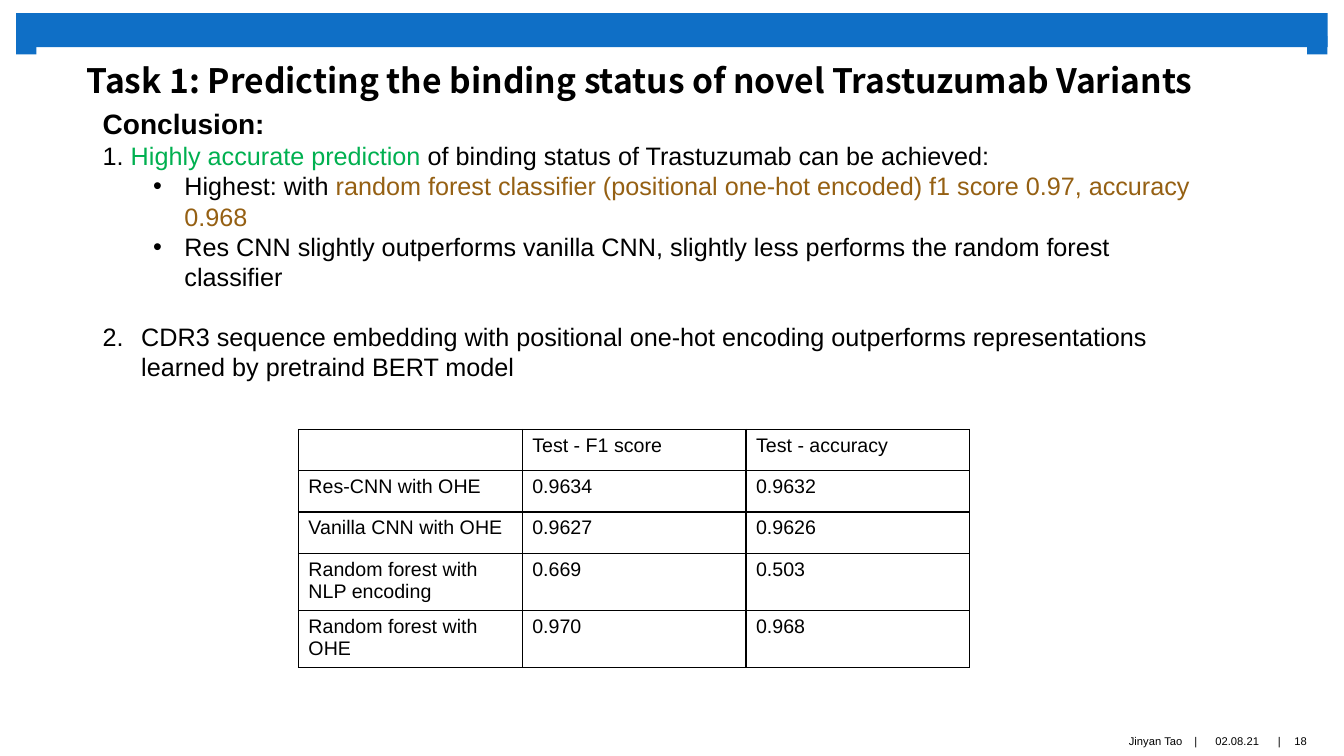
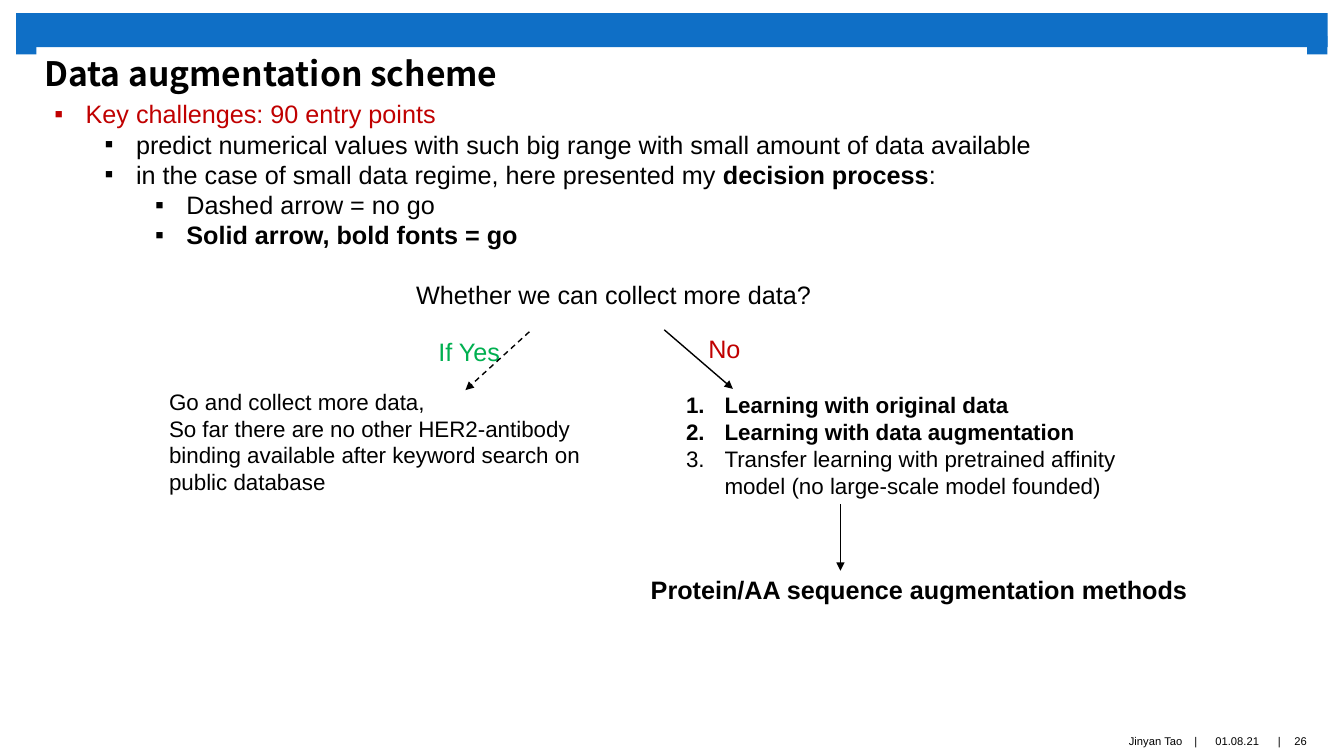
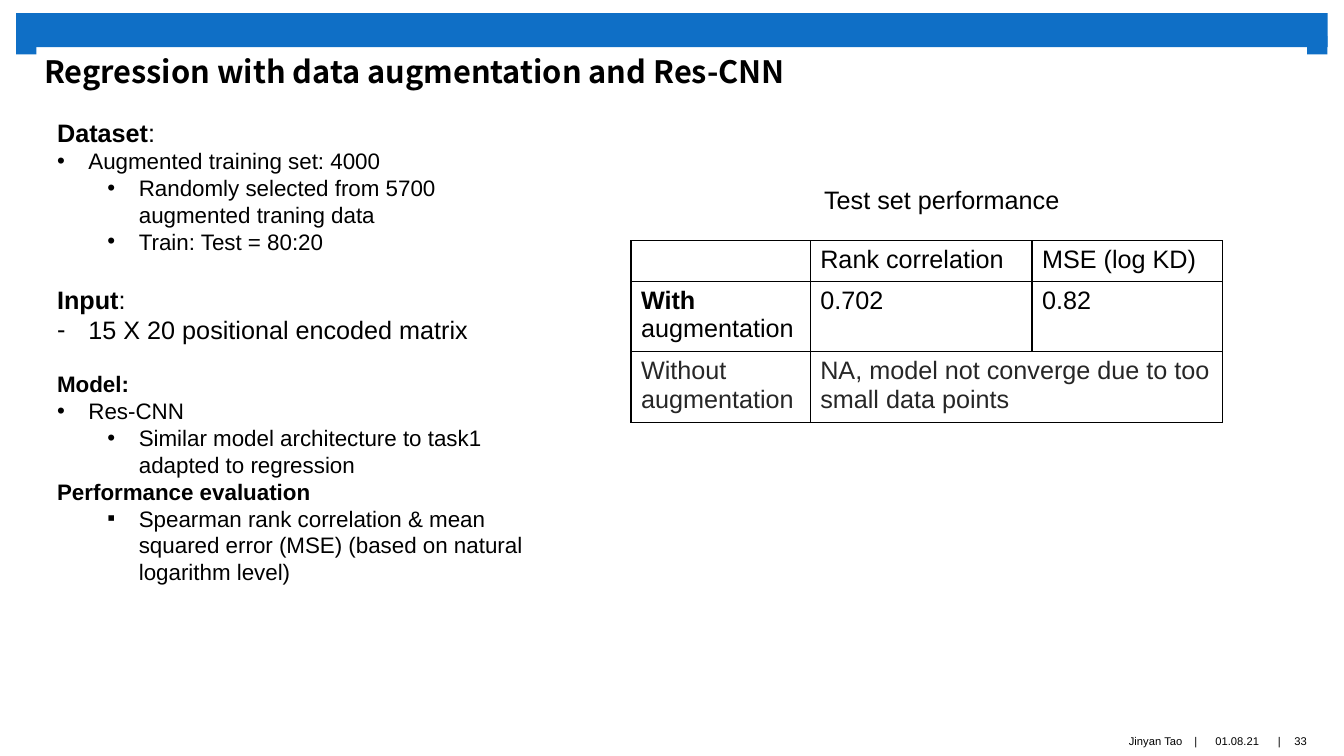
"""Build three slides on antibody binding prediction and data augmentation."""
from lxml import etree
from pptx import Presentation
from pptx.dml.color import RGBColor
from pptx.enum.dml import MSO_LINE
from pptx.enum.shapes import MSO_CONNECTOR, MSO_SHAPE
from pptx.enum.text import MSO_ANCHOR, MSO_AUTO_SIZE, PP_ALIGN
from pptx.oxml.ns import qn
from pptx.util import Cm, Pt

STRAIGHT = MSO_CONNECTOR.STRAIGHT
RECTANGLE = MSO_SHAPE.RECTANGLE
DASH = MSO_LINE.DASH
TOP, MIDDLE = MSO_ANCHOR.TOP, MSO_ANCHOR.MIDDLE
LEFT, CENTER, RIGHT = PP_ALIGN.LEFT, PP_ALIGN.CENTER, PP_ALIGN.RIGHT

COLORS = {
    "band": "0F6FC6", "black": "000000", "green": "00B050",
    "red": "C00000", "ochre": "956013", "gray": "262626",
}
BODY_FONT, TITLE_FONT = "Arial", "Noto Sans CJK SC"
TITLE_LAYOUT = 5
BULLET_HANG, NUMBER_HANG, LEVEL_STEP = 0.79, 0.97, 1.27

BANDS = [(0.41, 0.33, 33.05, 0.86), (0.41, 0.91, 0.51, 0.46), (32.94, 0.91, 0.51, 0.46)]
AUTHOR = "Jinyan Tao"
FOOTER_TOP, FOOTER_HEIGHT = 18.36, 0.64

SLIDES = [
    {
        "title": "Task 1: Predicting the binding status of novel Trastuzumab Variants",
        "title_box": (1.93, 1.09, 30, 1.45), "title_size": 24,
        "date": "02.08.21", "number": "18",
        "texts": [
            ((2.34, 2.57, 28.4, 7.26), [
                {"text": "Conclusion:", "size": 20, "bold": True},
                {"text": ["1. ", ("Highly accurate prediction ", {"color": "green"}),
                          "of binding status of Trastuzumab can be achieved:"]},
                {"text": ["Highest: with ",
                          ("random forest classifier (positional one-hot encoded) "
                           "f1 score 0.97, accuracy 0.968", {"color": "ochre"})],
                 "bullet": "•", "level": 1},
                {"text": "Res CNN slightly outperforms vanilla CNN, slightly less performs "
                         "the random forest classifier", "bullet": "•", "level": 1},
                {"text": "CDR3 sequence embedding with positional one-hot encoding outperforms "
                         "representations learned by pretraind BERT model",
                 "bullet": 2, "before": 21},
            ]),
        ],
        "table": {
            "at": (7.52, 10.82), "size": 14,
            "columns": [5.64] * 3, "rows": [1.04] * 3 + [1.44] * 2,
            "cells": [
                ["", "Test - F1 score", "Test - accuracy"],
                ["Res-CNN with OHE", "0.9634", "0.9632"],
                ["Vanilla CNN with OHE", "0.9627", "0.9626"],
                ["Random forest with NLP encoding", "0.669", "0.503"],
                ["Random forest with OHE", "0.970", "0.968"],
            ],
        },
    },
    {
        "title": "Data augmentation scheme",
        "title_box": (0.86, 0.91, 26.87, 1.45), "title_size": 24,
        "date": "01.08.21", "number": "26",
        "texts": [
            ((1.12, 2.36, 27.23, 4.5), [
                {"text": "Key challenges: 90 entry points", "bullet": "▪", "color": "red"},
                {"text": "predict numerical values with such big range with small amount "
                         "of data available", "bullet": "▪", "level": 1},
                {"text": ["in the case of small data regime, here presented my ",
                          ("decision process", {"bold": True}), ":"],
                 "bullet": "▪", "level": 1},
                {"text": "Dashed arrow = no go", "bullet": "▪", "level": 2},
                {"text": "Solid arrow, bold fonts = go", "bullet": "▪", "level": 2,
                 "bold": True},
            ]),
            ((10.24, 6.91, 10.8, 1.02), [{"text": "Whether we can collect more data?"}]),
            ((10.8, 8.36, 2.26, 1.02), [{"text": "If Yes", "color": "green"}]),
            ((4.01, 9.65, 11.1, 3), [
                {"text": "Go and collect more data,", "size": 16},
                {"text": "So far there are no other HER2-antibody binding available after "
                         "keyword search on public database", "size": 16},
            ]),
            ((17.6, 8.28, 1.6, 1.02), [{"text": "No", "color": "red"}]),
            ((17.04, 9.73, 12.4, 3), [
                {"text": "Learning with original data", "size": 16, "bullet": 1, "bold": True},
                {"text": "Learning with data augmentation", "size": 16, "bullet": 1,
                 "bold": True},
                {"text": "Transfer learning with pretrained affinity model "
                         "(no large-scale model founded)", "size": 16, "bullet": 1},
            ]),
            ((16.15, 14.35, 14.5, 1.02),
             [{"text": "Protein/AA sequence augmentation methods", "bold": True}]),
        ],
        "arrows": [
            ((13.34, 8.36), (11.73, 9.83), True),
            ((16.74, 8.31), (18.47, 9.8), False),
            ((21.18, 12.7), (21.18, 14.38), False),
        ],
    },
    {
        "title": "Regression with data augmentation and Res-CNN",
        "title_box": (0.86, 0.91, 31.42, 1.37), "title_size": 22,
        "date": "01.08.21", "number": "33",
        "texts": [
            ((1.19, 2.82, 12.73, 12.22), [
                {"text": [("Dataset", {"bold": True}), ":"]},
                {"text": "Augmented training set: 4000", "size": 16, "bullet": "•"},
                {"text": "Randomly selected from 5700 augmented traning data",
                 "size": 16, "bullet": "•", "level": 1},
                {"text": "Train: Test = 80:20", "size": 16, "bullet": "•", "level": 1},
                {"text": [("Input", {"bold": True}), ":"], "before": 21},
                {"text": "15 X 20 positional encoded matrix", "bullet": "-"},
                {"text": "Model:", "size": 16, "bold": True, "before": 18.5},
                {"text": "Res-CNN", "size": 16, "bullet": "•"},
                {"text": "Similar model architecture to task1 adapted to regression",
                 "size": 16, "bullet": "•", "level": 1},
                {"text": "Performance evaluation", "size": 16, "bold": True},
                {"text": "Spearman rank correlation & mean squared error (MSE) "
                         "(based on natural logarithm level)",
                 "size": 16, "bullet": "▪", "level": 1},
            ]),
            ((20.52, 4.52, 6.9, 1.02), [{"text": "Test set performance"}]),
        ],
        "table": {
            "at": (15.9, 6.07), "size": 18,
            "columns": [4.52, 5.59, 4.8], "rows": [1, 1.78, 1.78],
            "row_colors": ["black", "black", "gray"],
            "cells": [
                ["", "Rank correlation", "MSE (log KD)"],
                [[("With ", {"bold": True}), "augmentation"], "0.702", "0.82"],
                ["Without augmentation",
                 "NA, model not converge due to too small data points", None],
            ],
        },
    },
]


def rgb(name):
    return RGBColor.from_string(COLORS[name])


def add_bullet(paragraph, bullet, level):
    hang = NUMBER_HANG if isinstance(bullet, int) else BULLET_HANG
    paragraph.level = level
    properties = paragraph._p.get_or_add_pPr()
    properties.set("marL", str(Cm(hang + LEVEL_STEP * level)))
    properties.set("indent", str(-Cm(hang)))
    etree.SubElement(properties, qn("a:buFont"), typeface=BODY_FONT)
    if isinstance(bullet, int):
        etree.SubElement(properties, qn("a:buAutoNum"), type="arabicPeriod",
                         startAt=str(bullet))
    else:
        etree.SubElement(properties, qn("a:buChar"), char=bullet)


def write_paragraph(paragraph, text, size=18, bold=False, color="black", bullet=None,
                    level=0, before=0, align=LEFT, font=BODY_FONT):
    paragraph.alignment = align
    if before:
        paragraph.space_before = Pt(before)
    if bullet:
        add_bullet(paragraph, bullet, level)
    paragraph.font.name = font
    paragraph.font.size = Pt(size)
    paragraph.font.bold = bold
    paragraph.font.color.rgb = rgb(color)
    for part in [text] if isinstance(text, str) else text:
        words, style = (part, {}) if isinstance(part, str) else part
        run = paragraph.add_run()
        run.text = words
        if "bold" in style:
            run.font.bold = style["bold"]
        if "color" in style:
            run.font.color.rgb = rgb(style["color"])


def add_text(slide, box, paragraphs, anchor=TOP, inset=None):
    frame = slide.shapes.add_textbox(*map(Cm, box)).text_frame
    frame.word_wrap = True
    frame.vertical_anchor = anchor
    if inset is not None:
        frame.margin_left = frame.margin_right = Cm(inset)
        frame.margin_top = frame.margin_bottom = Cm(inset)
    for index, content in enumerate(paragraphs):
        paragraph = frame.add_paragraph() if index else frame.paragraphs[0]
        write_paragraph(paragraph, **content)


def add_frame(slide, content):
    """Add the parts that every slide shares: bands, title and footer."""
    for box in BANDS:
        band = slide.shapes.add_shape(RECTANGLE, *map(Cm, box))
        band.shadow.inherit = False
        band.fill.solid()
        band.fill.fore_color.rgb = rgb("band")
        band.line.fill.background()

    title = slide.shapes.title
    title.left, title.top, title.width, title.height = map(Cm, content["title_box"])
    frame = title.text_frame
    frame.word_wrap = True
    frame.auto_size = MSO_AUTO_SIZE.NONE
    frame.vertical_anchor = TOP
    paragraph = frame.paragraphs[0]
    paragraph.line_spacing = 1.3
    write_paragraph(paragraph, content["title"], size=content["title_size"], bold=True,
                    font=TITLE_FONT)

    footer = [
        (AUTHOR, 16.92, 12.88, RIGHT), ("|", 29.95, 0.38, CENTER),
        (content["date"], 30.33, 1.7, CENTER), ("|", 32.05, 0.38, CENTER),
        (content["number"], 32.28, 1, CENTER),
    ]
    for text, left, width, align in footer:
        add_text(slide, (left, FOOTER_TOP, width, FOOTER_HEIGHT),
                 [{"text": text, "size": 8, "align": align}], MIDDLE, 0)


def add_arrow(slide, start, end, dashed):
    arrow = slide.shapes.add_connector(STRAIGHT, *map(Cm, start + end))
    arrow.line.color.rgb = rgb("black")
    arrow.line.width = Pt(1)
    if dashed:
        arrow.line.dash_style = DASH
    etree.SubElement(arrow.line._get_or_add_ln(), qn("a:tailEnd"), type="triangle")
    etree.SubElement(arrow._element.spPr, qn("a:effectLst"))


def add_borders(cell):
    properties = cell._tc.get_or_add_tcPr()
    for index, side in enumerate(("a:lnL", "a:lnR", "a:lnT", "a:lnB")):
        border = etree.Element(qn(side), w=str(Pt(1)))
        fill = etree.SubElement(border, qn("a:solidFill"))
        etree.SubElement(fill, qn("a:srgbClr"), val=COLORS["black"])
        properties.insert(index, border)


def add_result_table(slide, at, size, columns, rows, cells, row_colors=None):
    box = (*at, sum(columns), sum(rows))
    table = slide.shapes.add_table(len(rows), len(columns), *map(Cm, box)).table
    table.first_row = table.horz_banding = False
    for column, width in zip(table.columns, columns):
        column.width = Cm(width)
    for row_index, height in enumerate(rows):
        table.rows[row_index].height = Cm(height)
        color = row_colors[row_index] if row_colors else "black"
        for column_index, text in enumerate(cells[row_index]):
            cell = table.cell(row_index, column_index)
            cell.fill.background()
            add_borders(cell)
            if text is None:
                table.cell(row_index, column_index - 1).merge(cell)
            elif text:
                write_paragraph(cell.text_frame.paragraphs[0], text, size, color=color)


def main():
    presentation = Presentation()
    presentation.slide_width, presentation.slide_height = Cm(33.87), Cm(19.05)
    for content in SLIDES:
        slide = presentation.slides.add_slide(presentation.slide_layouts[TITLE_LAYOUT])
        add_frame(slide, content)
        for box, paragraphs in content["texts"]:
            add_text(slide, box, paragraphs)
        for arrow in content.get("arrows", []):
            add_arrow(slide, *arrow)
        if "table" in content:
            add_result_table(slide, **content["table"])
    presentation.save("out.pptx")


if __name__ == "__main__":
    main()
